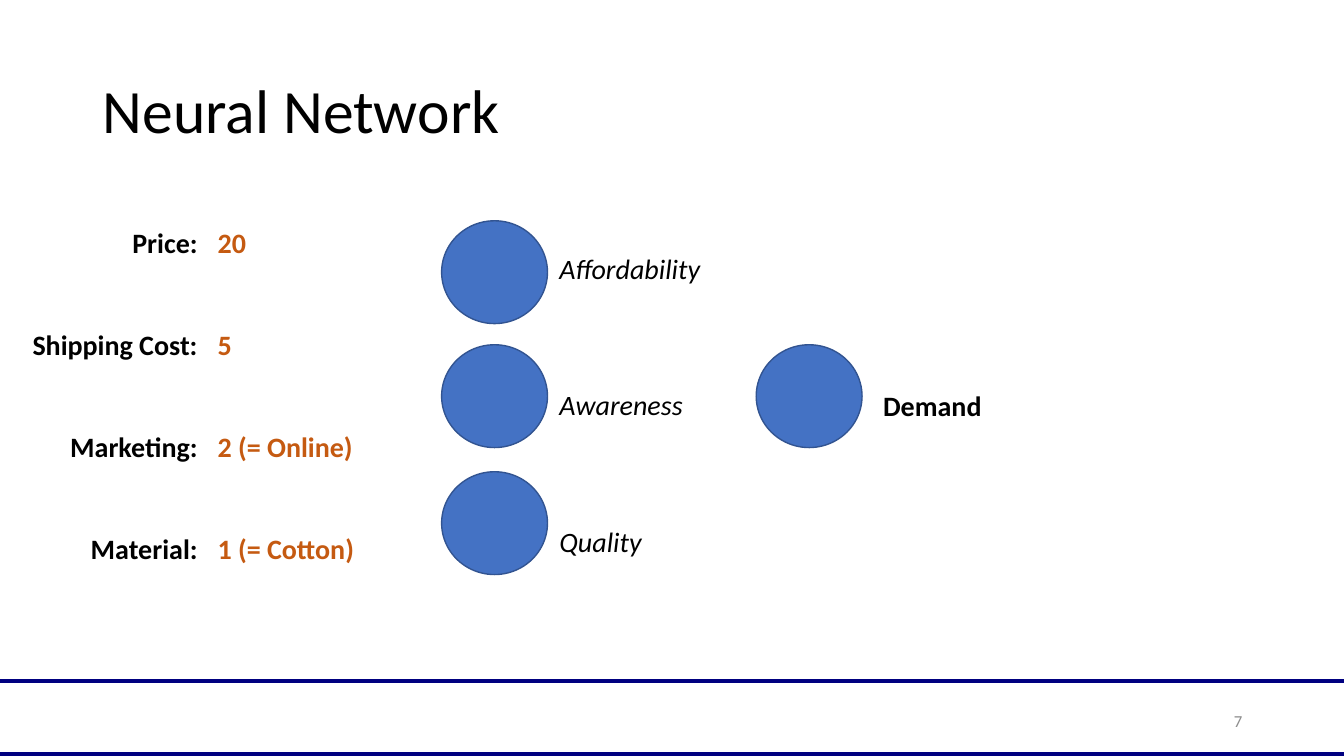
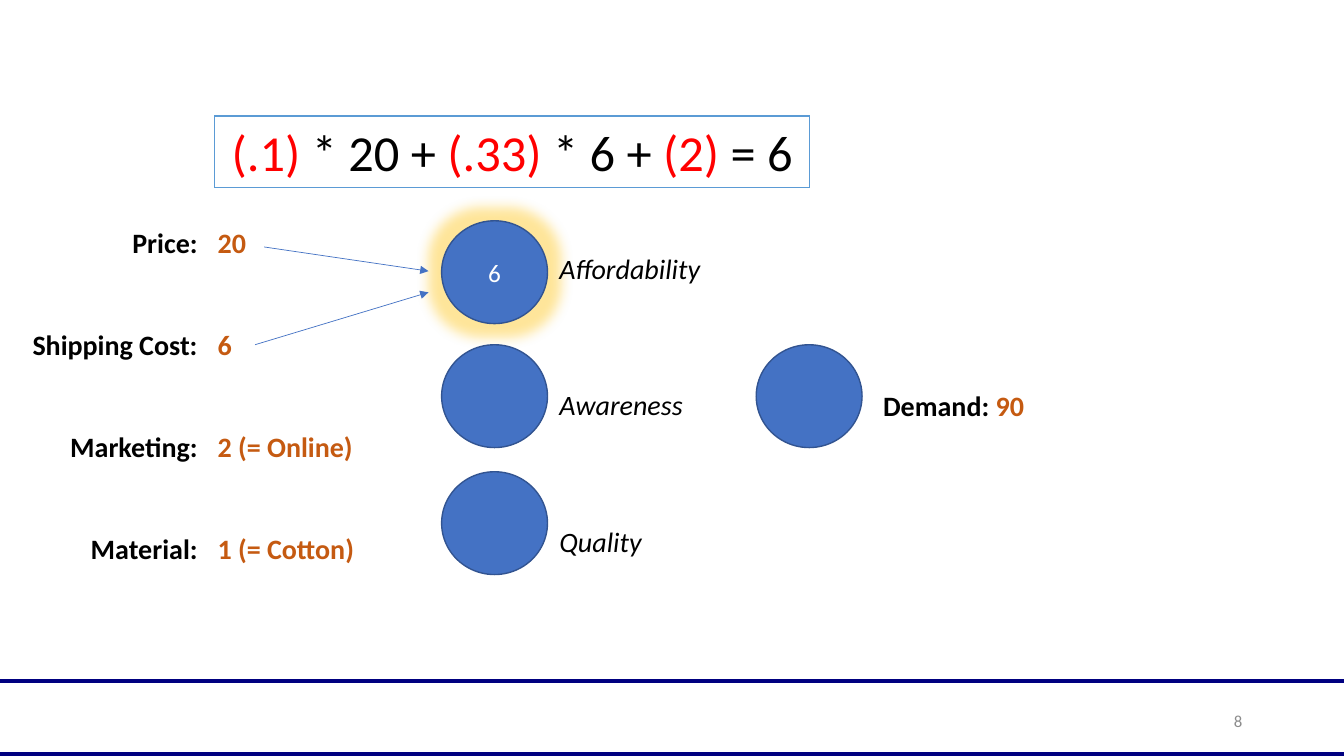
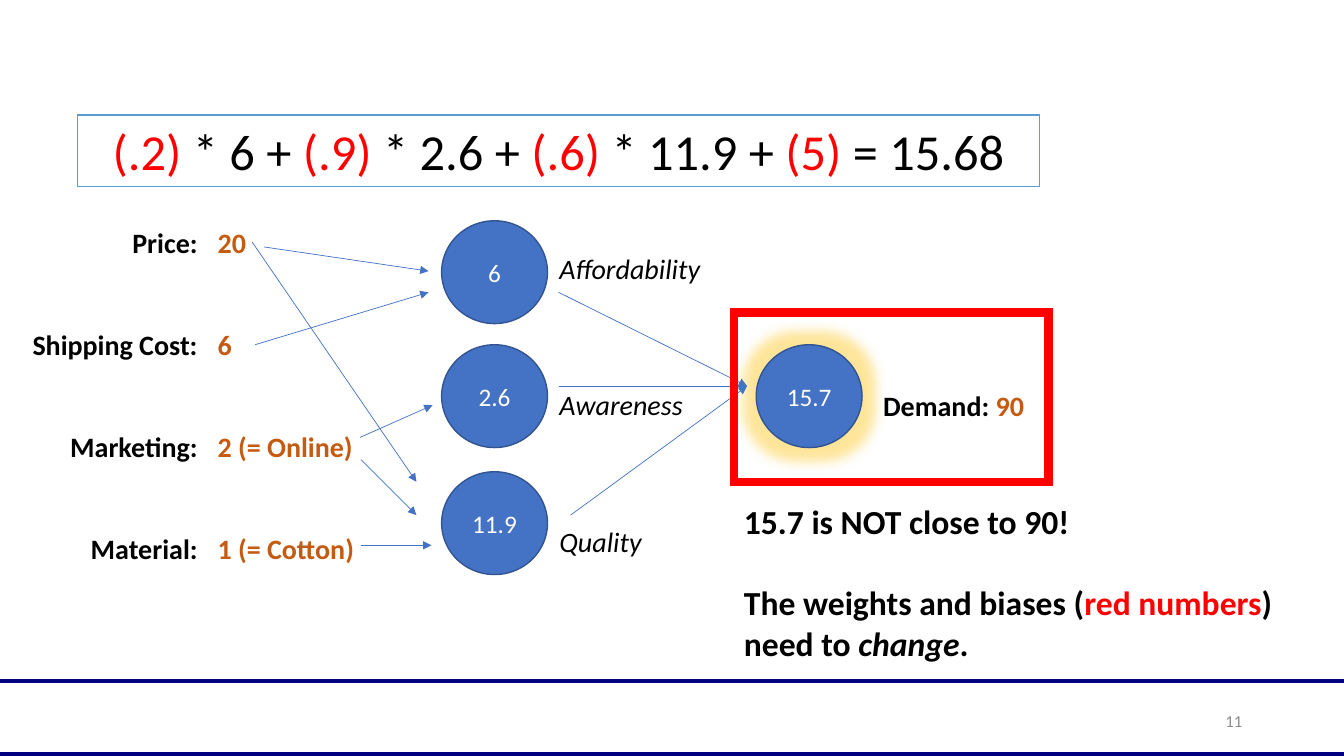
from lxml.etree import SubElement
from pptx import Presentation
from pptx.dml.color import RGBColor
from pptx.enum.shapes import MSO_CONNECTOR, MSO_SHAPE
from pptx.enum.text import MSO_ANCHOR, MSO_AUTO_SIZE, PP_ALIGN
from pptx.oxml.ns import qn
from pptx.util import Inches, Pt

BLACK = RGBColor(0x00, 0x00, 0x00)
WHITE = RGBColor(0xFF, 0xFF, 0xFF)
NAVY = RGBColor(0x00, 0x00, 0x80)
BLUE = RGBColor(0x44, 0x72, 0xC4)
EDGE = RGBColor(0x32, 0x54, 0x91)
SKY = RGBColor(0x5B, 0x9B, 0xD5)
RUST = RGBColor(0xC5, 0x5A, 0x11)
RED = RGBColor(0xFF, 0x00, 0x00)
GOLD = RGBColor(0xFF, 0xC0, 0x00)
GRAY = RGBColor(0x8C, 0x8C, 0x8C)

FONT = "Calibri"
WIDE, HIGH = 13.33, 7.5
LINE = 1.22
TITLE, BLANK = 5, 6
NODES = [(4.38, 2.19), (4.38, 3.42), (4.38, 4.68), (7.5, 3.42)]
COST = [((2.62, 2.45), (4.25, 2.69)), ((2.53, 3.42), (4.25, 2.9))]
GOAL = (7.41, 3.83)
LINKS = [
    ((3.58, 5.41), (4.28, 5.41)),
    ((2.5, 2.4), (4.13, 4.78)),
    ((3.58, 4.56), (4.13, 5.11)),
    ((3.57, 4.34), (4.29, 4.02)),
    ((5.54, 2.9), GOAL),
    ((5.54, 3.83), GOAL),
    ((5.66, 5.11), GOAL),
]


class Deck:
    """Hold the style and the current slide, and draw each kind of element."""

    def __init__(self):
        self.show = Presentation()
        self.show.slide_width = Inches(WIDE)
        self.show.slide_height = Inches(HIGH)

    def page(self, number, title=None):
        layout = self.show.slide_layouts[TITLE if title else BLANK]
        self.slide = self.show.slides.add_slide(layout)
        for y in (6.76, 7.48):
            self.line((0, y), (WIDE, y), NAVY, 3)
        if title:
            head = self.slide.shapes.title
            self.place(head, (0.92, 0.4, 11.5, 1.45))
            self.label(head, [title], 44, anchor=MSO_ANCHOR.MIDDLE)
            head.text_frame.paragraphs[0].line_spacing = 0.9
        self.text((9.42, 6.95, 3, 0.4), [number], 12, PP_ALIGN.RIGHT,
                  anchor=MSO_ANCHOR.MIDDLE, ink=GRAY)

    def place(self, shape, box):
        for name, size in zip(("left", "top", "width", "height"), box):
            setattr(shape, name, Inches(size))

    def label(self, shape, rows, size, align=PP_ALIGN.LEFT, gap=0,
              anchor=MSO_ANCHOR.TOP, **style):
        frame = shape.text_frame
        form = {"word_wrap": True, "auto_size": MSO_AUTO_SIZE.NONE,
                "vertical_anchor": anchor}
        for key, value in form.items():
            setattr(frame, key, value)
        for i, row in enumerate(rows):
            para = frame.add_paragraph() if i else frame.paragraphs[0]
            para.alignment = align
            para.space_before = Pt(round(gap * size * LINE, 1) if i else 0)
            for words, extra in [(row, {})] if isinstance(row, str) else row:
                run = para.add_run()
                run.text = words
                look = {"name": FONT, "size": Pt(size), "ink": BLACK}
                for key, value in {**look, **style, **extra}.items():
                    if key == "ink":
                        run.font.color.rgb = value
                    else:
                        setattr(run.font, key, value)

    def text(self, box, rows, size, align=PP_ALIGN.LEFT, **style):
        shape = self.slide.shapes.add_textbox(*map(Inches, box))
        self.label(shape, rows, size, align, **style)

    def line(self, start, end, color=BLUE, width=0.5, arrow=False):
        link = self.slide.shapes.add_connector(
            MSO_CONNECTOR.STRAIGHT, *map(Inches, start + end))
        link.line.color.rgb = color
        link.line.width = Pt(width)
        props = link._element.spPr
        if arrow:
            SubElement(props.find(qn("a:ln")), qn("a:tailEnd"), type="triangle")
        SubElement(props, qn("a:effectLst"))

    def shape(self, kind, box, fill, edge, width=1):
        shape = self.slide.shapes.add_shape(kind, *map(Inches, box))
        shape.shadow.inherit = False
        if fill is None:
            shape.fill.background()
        else:
            shape.fill.solid()
            shape.fill.fore_color.rgb = fill
        shape.line.color.rgb = edge
        shape.line.width = Pt(width)
        SubElement(shape._element.spPr.find(qn("a:ln")), qn("a:miter"), lim="800000")
        return shape

    def node(self, spot, mark, lit):
        shape = self.shape(MSO_SHAPE.FLOWCHART_CONNECTOR, spot + (1.05, 1.02),
                           BLUE, EDGE)
        if mark:
            self.label(shape, [mark], 18, PP_ALIGN.CENTER,
                       anchor=MSO_ANCHOR.MIDDLE, ink=WHITE)
        if lit:
            effect = shape._element.spPr.find(qn("a:effectLst"))
            glow = SubElement(effect, qn("a:glow"), rad=str(Pt(18)))
            tint = SubElement(glow, qn("a:srgbClr"), val=str(GOLD))
            SubElement(tint, qn("a:alpha"), val="40000")

    def net(self, cost, goal, marks=("",) * 4, lit=None):
        for i, (spot, mark) in enumerate(zip(NODES, marks)):
            self.node(spot, mark, i == lit)
        self.text((0.1, 2.19, 1.96, 3.47),
                  ["Price:", "Shipping Cost:", "Marketing:", "Material:"],
                  20, PP_ALIGN.RIGHT, gap=2, bold=True)
        self.text((2.06, 2.19, 1.96, 3.47),
                  ["20", cost, "2 (= Online)", "1 (= Cotton)"],
                  20, gap=2, bold=True, ink=RUST)
        self.text((5.45, 2.45, 1.96, 3.13),
                  ["Affordability", "Awareness", "Quality"],
                  20, gap=3, italic=True)
        self.text((8.66, 3.81, 1.96, 0.44), [goal], 20, bold=True)

    def arrows(self, links):
        for start, end in links:
            self.line(start, end, arrow=True)

    def sum(self, box, parts):
        shape = self.shape(MSO_SHAPE.RECTANGLE, box, WHITE, SKY)
        row = [(part, {"ink": BLACK if i % 2 else RED})
               for i, part in enumerate(parts)]
        self.label(shape, [row], 36, PP_ALIGN.CENTER)


def main():
    deck = Deck()
    goal = [("Demand: ", {}), ("90", {"ink": RUST})]

    deck.page("7", "Neural Network")
    deck.net("5", "Demand")

    deck.page("8")
    deck.net("6", goal, ("6", "", "", ""), lit=0)
    deck.arrows(COST)
    deck.sum((2.13, 1.15, 5.9, 0.71),
             ["(.1) ", "* 20 + ", "(.33) ", "* 6 + ", "(2) ", "= 6"])

    deck.page("11")
    deck.net("6", goal, ("6", "2.6", "11.9", "15.7"), lit=3)
    deck.sum((0.77, 1.14, 9.54, 0.71),
             ["(.2) ", "* 6 + ", "(.9) ", "* 2.6 +", " (.6) ", "* 11.9 +",
              " (5) ", "= 15.68"])
    deck.arrows(COST + LINKS)
    deck.shape(MSO_SHAPE.RECTANGLE, (7.28, 3.1, 3.12, 1.68), None, RED, 6)
    deck.text((7.28, 4.92, 5.67, 1.72),
              ["15.7 is NOT close to 90!",
               [("The weights and biases (", {}), ("red numbers", {"ink": RED}),
                (") need to ", {}), ("change", {"italic": True}), (".", {})]],
              24, gap=1, bold=True)

    deck.show.save("out.pptx")


if __name__ == "__main__":
    main()
